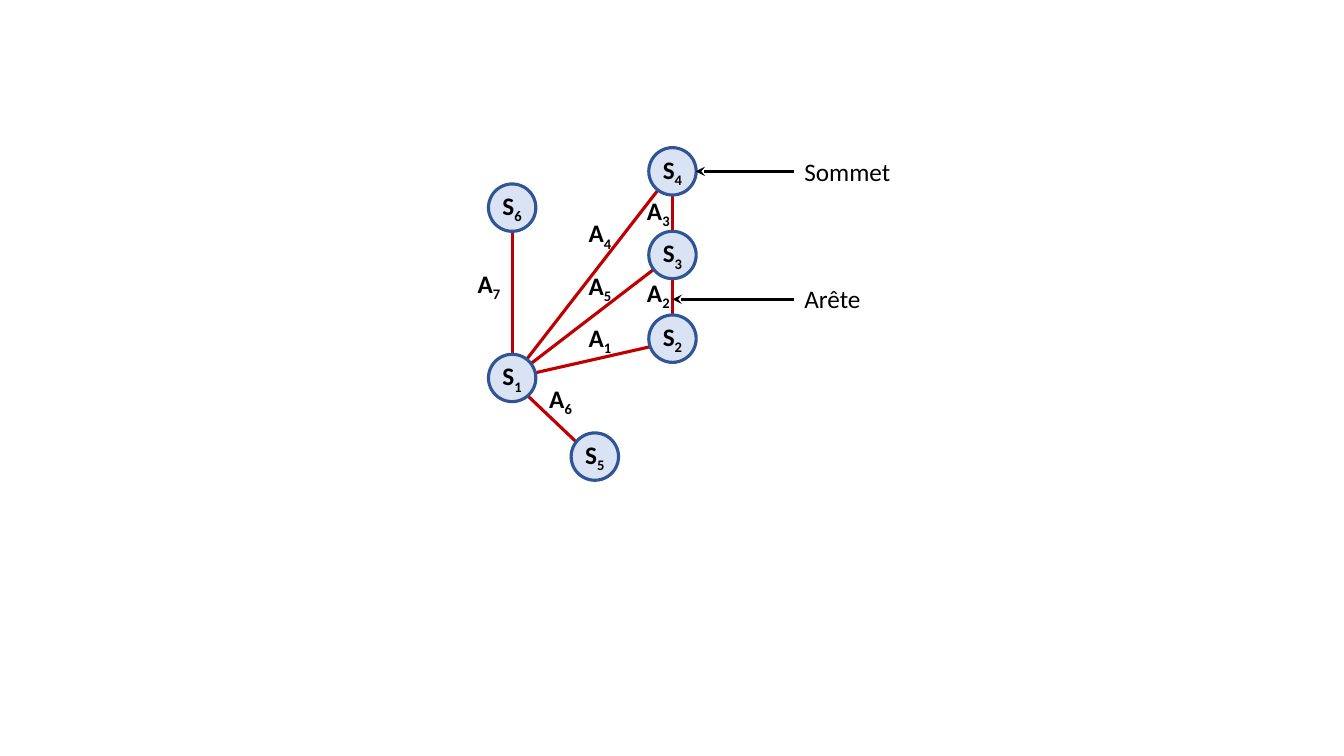
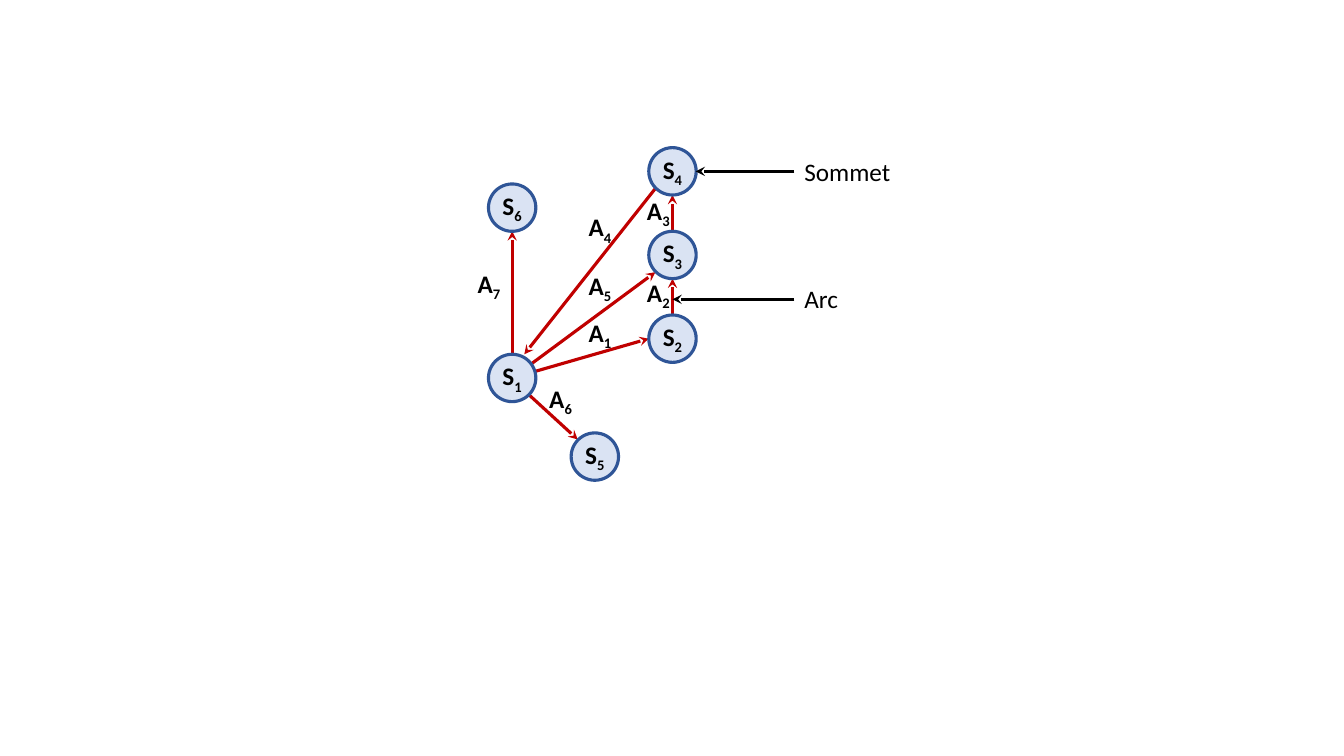
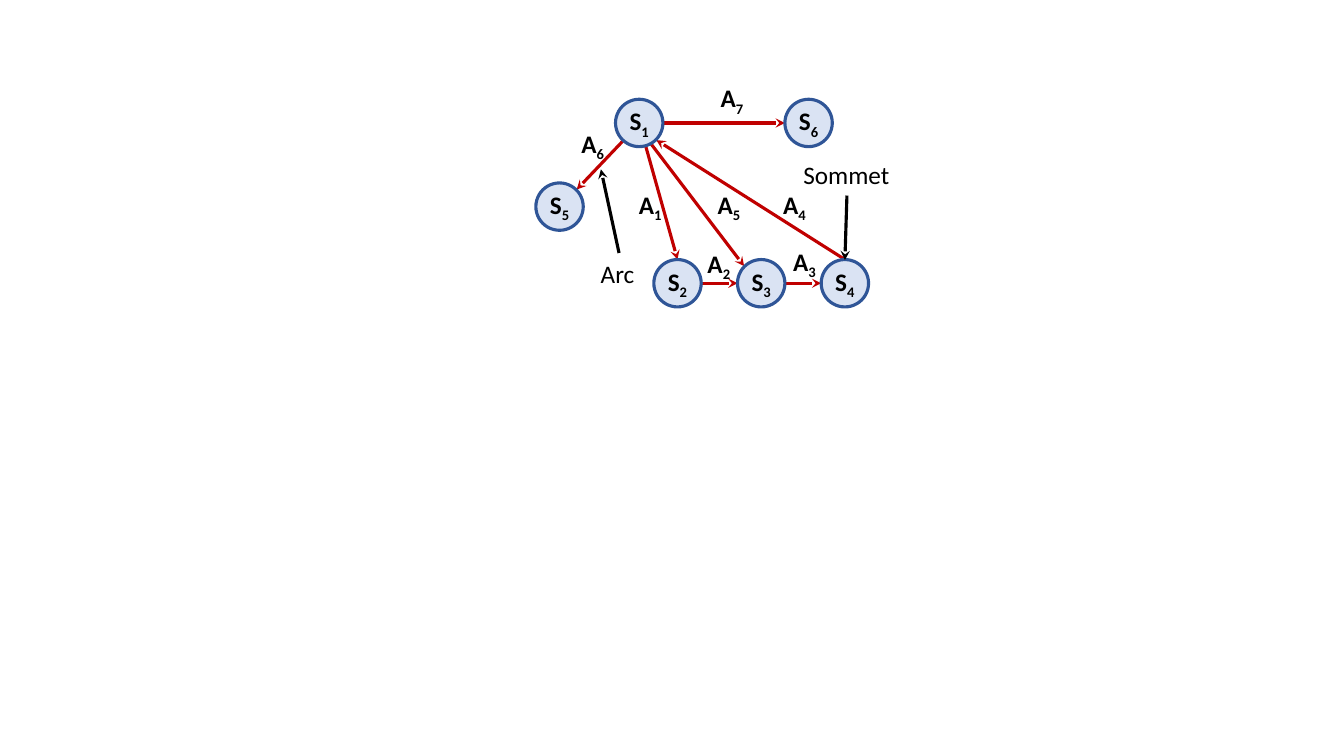
from pptx import Presentation
from pptx.util import Inches, Pt
from pptx.dml.color import RGBColor
from pptx.enum.shapes import MSO_CONNECTOR as Link, MSO_SHAPE as Shape
from pptx.enum.text import MSO_ANCHOR as Anchor, MSO_AUTO_SIZE as Fit, PP_ALIGN as Align
from pptx.oxml.ns import qn
from lxml.etree import SubElement

RED = RGBColor(0xC0, 0x00, 0x00)
BLUE = RGBColor(0x2F, 0x55, 0x97)
PALE = RGBColor(0xDA, 0xE3, 0xF3)
BLACK = RGBColor(0x00, 0x00, 0x00)
FONT = "Calibri"
SIZE = Pt(18)
STROKE = Pt(2.25)
DISC = 0.47
TALL = 0.4

HALF = DISC / 2
DIAG = 0.17
# Points of a node where an edge may end, as offsets from its centre
PORTS = {
    "c": (0, 0), "n": (0, -HALF), "s": (0, HALF), "w": (-HALF, 0), "e": (HALF, 0),
    "nw": (-DIAG, -DIAG), "ne": (DIAG, -DIAG),
    "sw": (-DIAG, DIAG), "se": (DIAG, DIAG),
    "low": (0, 0.03), "top": (0.12, -HALF),
}


def shift(a, b):
    return a[0] + b[0], a[1] + b[1]


def write(frame, text, sub=None):
    """Write text, bold with a subscript when sub is given."""
    frame.vertical_anchor = Anchor.MIDDLE
    frame.word_wrap = True
    para = frame.paragraphs[0]
    para.alignment = Align.LEFT if sub is None else Align.CENTER
    for part in [text] if sub is None else [text, str(sub)]:
        run = para.add_run()
        run.text = part
        font = run.font
        font.name, font.size, font.bold = FONT, SIZE, sub is not None
        font.color.rgb = BLACK
    if sub is not None:
        font._element.set("baseline", "-25000")


def line(slide, start, end, color, arrow):
    ends = [Inches(v) for v in (*start, *end)]
    link = slide.shapes.add_connector(Link.STRAIGHT, *ends)
    link.line.color.rgb = color
    link.line.width = STROKE
    if arrow:
        SubElement(link.line._get_or_add_ln(), qn("a:tailEnd"), type="stealth")
    SubElement(link._element.spPr, qn("a:effectLst"))


def node(slide, mid, num):
    left, top = shift(mid, (-HALF, -HALF))
    disc = slide.shapes.add_shape(
        Shape.OVAL, Inches(left), Inches(top), Inches(DISC), Inches(DISC))
    disc.shadow.inherit = False
    disc.fill.solid()
    disc.fill.fore_color.rgb = PALE
    disc.line.color.rgb = BLUE
    disc.line.width = STROKE
    frame = disc.text_frame
    frame.margin_left = frame.margin_right = frame.margin_top = frame.margin_bottom = 0
    write(frame, "S", num)


def label(slide, spot, wide, text, sub=None):
    box = slide.shapes.add_textbox(
        Inches(spot[0]), Inches(spot[1]), Inches(wide), Inches(TALL))
    write(box.text_frame, text, sub)
    box.text_frame.auto_size = Fit.SHAPE_TO_FIT_TEXT


def graph(slide, box, nodes, edges, names, notes, arrow):
    """Draw a graph; every place is relative to the corner given as box."""
    mids = {num: shift(box, mid) for num, mid in nodes.items()}
    for a, out, b, into in edges:
        line(slide, shift(mids[a], PORTS[out]), shift(mids[b], PORTS[into]), RED, arrow)
    for num, mid in mids.items():
        node(slide, mid, num)
    for text, spot, wide, start, end in notes:
        line(slide, shift(box, start), shift(box, end), BLACK, True)
        label(slide, shift(box, spot), wide, text)
    for num, mid in names.items():
        label(slide, shift(shift(box, mid), (-HALF, -TALL / 2)), DISC, "A", num)


def side_notes(kind):
    return [("Sommet", (3.27, 0.03), 1.44, (3.27, 0.23), (2.29, 0.23)),
            (kind, (3.27, 1.29), 1.44, (3.27, 1.5), (2.06, 1.5))]


TOWER_BOX = (4.61, 1.47)
TOWER = {1: (0.47, 2.28), 5: (1.29, 3.06), 6: (0.47, 0.59)}
TOWER.update({4 - i: (2.06, 0.23 + 0.83 * i) for i in range(3)})
TOWER_NAMES = {1: (1.34, 1.9), 2: (1.92, 1.45), 3: (1.92, 0.64), 4: (1.34, 0.86),
               5: (1.34, 1.38), 6: (0.95, 2.5), 7: (0.24, 1.36)}
RISE = [(1, "n", 6, "s"), (2, "n", 3, "s"), (3, "n", 4, "s")]
PLAIN = RISE + [(1, "c", 4, "c"), (1, "c", 3, "c"), (1, "c", 2, "low"),
                (1, "low", 5, "low")]
ARCS = RISE + [(4, "sw", 1, "top"), (1, "c", 3, "sw"), (1, "c", 2, "w"),
               (1, "se", 5, "nw")]

FAN_BOX = (5.32, 0.79)
FAN = {1: (1.02, 0.43), 5: (0.23, 1.26), 6: (2.7, 0.43)}
FAN.update({2 + i: (1.4 + 0.83 * i, 2.02) for i in range(3)})
FAN_NAMES = {1: (1.13, 1.26), 2: (1.81, 1.84), 3: (2.66, 1.82), 4: (2.56, 1.26),
             5: (1.91, 1.26), 6: (0.56, 0.65), 7: (1.94, 0.2)}
FAN_ARCS = [(1, "e", 6, "w"), (4, "n", 1, "se"), (1, "nw", 3, "nw"), (1, "c", 2, "n"),
            (1, "ne", 5, "ne"), (2, "e", 3, "w"), (3, "e", 4, "w")]
FAN_NOTES = [("Sommet", (2.55, 0.74), 1.07, (3.08, 1.15), (3.06, 1.79)),
             ("Arc", (0.54, 1.72), 0.55, (0.82, 1.72), (0.64, 0.89))]


def main():
    deck = Presentation()
    deck.slide_width, deck.slide_height = Inches(13.33), Inches(7.5)
    arc_names = {**TOWER_NAMES, 1: (1.34, 1.85), 4: (1.34, 0.8)}
    for parts in (
        (TOWER_BOX, TOWER, PLAIN, TOWER_NAMES, side_notes("Arête"), False),
        (TOWER_BOX, TOWER, ARCS, arc_names, side_notes("Arc"), True),
        (FAN_BOX, FAN, FAN_ARCS, FAN_NAMES, FAN_NOTES, True),
    ):
        graph(deck.slides.add_slide(deck.slide_layouts[6]), *parts)
    deck.save("out.pptx")


if __name__ == "__main__":
    main()
